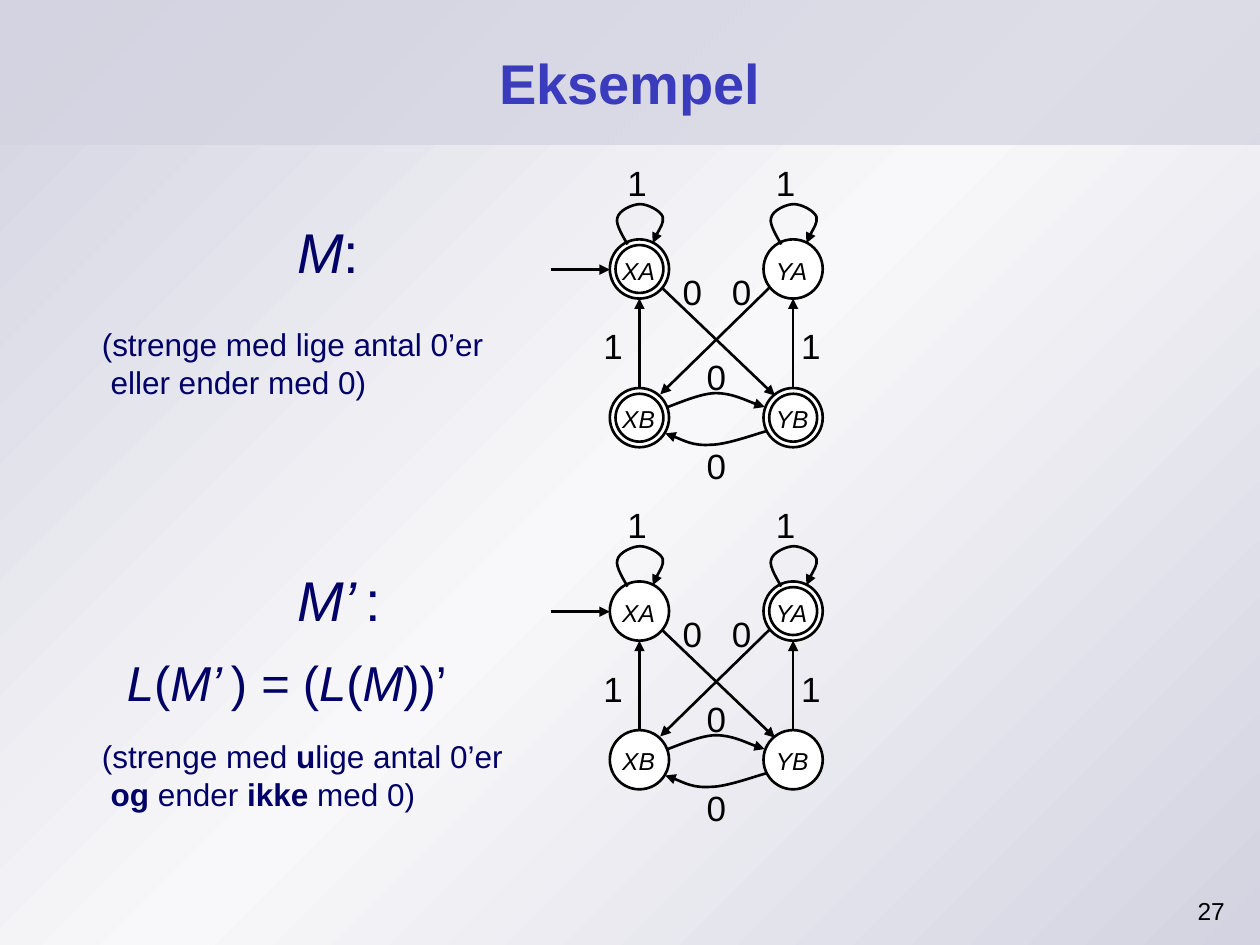
"""Builds the slide comparing the automaton M with its complement M’."""
from copy import deepcopy
from dataclasses import dataclass

from lxml.etree import SubElement
from pptx import Presentation
from pptx.dml.color import RGBColor
from pptx.enum.shapes import MSO_CONNECTOR, MSO_SHAPE
from pptx.enum.text import MSO_ANCHOR, MSO_AUTO_SIZE, PP_ALIGN
from pptx.oxml.ns import qn
from pptx.util import Inches, Pt

COLUMNS, ROWS = 100, 75
STATE, RING = 4.7, 3.8
STATE_GAP_X, STATE_GAP_Y = 12.2, 11.8
BLACK, NAVY, VIOLET, MIST, PALE, WHITE = "000000", "000066", "3B3BBE", "D3D3E1", "F8F8FA", "FFFFFF"


@dataclass(frozen=True)
class Span:
    text: str
    italic: bool = False
    bold: bool = False
    size: float = 0


@dataclass(frozen=True)
class Note:
    left: float
    top: float
    width: float
    height: float
    size: float
    spans: tuple[Span, ...]
    color: str = NAVY


@dataclass(frozen=True)
class Automaton:
    left: float
    top: float
    accepting: tuple[str, ...]


STATES = {
    "XA": (0, 0),
    "YA": (STATE_GAP_X, 0),
    "XB": (0, STATE_GAP_Y),
    "YB": (STATE_GAP_X, STATE_GAP_Y),
}
LOOP = ((1.4, 0.4), (1.2, 0), (0.4, -1.2), (0.6, -1.7), (0.7, -2.3), (1.8, -2.8), (2.4, -2.8),
        (3, -2.8), (4, -2.3), (4.2, -1.8), (4.3, -1.3), (3.5, -0.1), (3.4, 0.3))
CURVES = (
    LOOP,
    tuple((x + STATE_GAP_X, y) for x, y in LOOP),
    ((4.6, 13.3), (5.2, 13.1), (7.2, 12.2), (8.4, 12.2), (9.7, 12.2), (11.5, 13.1), (12.3, 13.3)),
    ((12.5, 15.2), (11.7, 15.4), (9.3, 16.3), (8, 16.3), (6.6, 16.4), (5.1, 15.6), (4.4, 15.4)),
)
STRAIGHTS = (
    ((-4.7, 2.4), (0, 2.4)),
    ((4.2, 3.9), (13.1, 12.4)),
    ((12.7, 3.8), (4, 12.3)),
    *(((x + STATE / 2, STATE_GAP_Y), (x + STATE / 2, STATE)) for x in (0, STATE_GAP_X)),
)
SYMBOLS = {
    "0": ((4.8, 2), (8.7, 2), (6.7, 8.7), (6.7, 15.8)),
    "1": ((0.4, -6.7), (12.2, -6.7), (-1.5, 6.3), (14.2, 6.3)),
}
AUTOMATA = (
    Automaton(48.4, 19, ("XA", "XB", "YB")),
    Automaton(48.4, 46.15, ("YA",)),
)
NOTES = (
    Note(22.6, 16.8, 7.4, 6.4, 32, (Span("M", italic=True), Span(":"))),
    Note(7.1, 25.3, 32.3, 7, 18, (
        Span("(strenge med lige antal 0’er"), Span("\n"), Span(" eller ender med 0)"))),
    Note(22.6, 44.4, 9, 6.4, 32, (
        Span("M’", italic=True), Span(" ", italic=True, size=20), Span(":"))),
    Note(7.1, 58, 33.8, 7, 18, (
        Span("(strenge med "), Span("u", bold=True), Span("lige antal 0’er"), Span("\n"),
        Span(" "), Span("og", bold=True), Span(" ender "), Span("ikke", bold=True),
        Span(" med 0)"))),
    Note(9.1, 51.3, 27.6, 5.7, 28, (
        Span("L", italic=True), Span("("), Span("M’", italic=True),
        Span(" ", italic=True, size=18), Span(")"), Span(" = ", italic=True), Span("("),
        Span("L", italic=True), Span("("), Span("M", italic=True), Span("))’"))),
)


def grid(*steps: float) -> list[int]:
    """Turns grid steps into slide lengths."""
    return [Inches(10 * step / COLUMNS) for step in steps]


def rgb(color: str) -> RGBColor:
    """Turns a hex string into a colour."""
    return RGBColor.from_string(color)


def style(font, size: float, color: str, bold: bool = False, italic: bool = False) -> None:
    """Formats a font."""
    font.name, font.size, font.bold, font.italic = "Arial", Pt(size), bold, italic
    font.color.rgb = rgb(color)


def stroke(figure, arrow: bool = False) -> None:
    """Gives a figure a black line, an optional arrowhead and no shadow."""
    figure.line.color.rgb = rgb(BLACK)
    figure.line.width = Pt(1.5)
    properties = figure.element.spPr
    if arrow:
        SubElement(properties.find(qn("a:ln")), qn("a:tailEnd"), type="triangle")
    SubElement(properties, qn("a:effectLst"))


def draw_note(shapes, note: Note):
    """Writes a run of spans in an unwrapped text box."""
    box = shapes.add_textbox(*grid(note.left, note.top, note.width, note.height))
    box.text_frame.word_wrap = False
    box.text_frame.auto_size = MSO_AUTO_SIZE.SHAPE_TO_FIT_TEXT
    line = box.text_frame.paragraphs[0]
    for span in note.spans:
        if span.text == "\n":
            line.add_line_break()
            continue
        run = line.add_run()
        run.text = span.text
        style(run.font, span.size or note.size, note.color, span.bold, span.italic)
    return box


def draw_circle(shapes, left: float, top: float, size: float) -> None:
    """Draws a white circle with a black line."""
    circle = shapes.add_shape(MSO_SHAPE.OVAL, *grid(left, top, size, size))
    circle.fill.solid()
    circle.fill.fore_color.rgb = rgb(WHITE)
    stroke(circle)


def draw_curve(shapes, points: list[list[int]]) -> None:
    """Draws an arrow along cubic curves, three points to each curve."""
    builder = shapes.build_freeform(*points[0])
    curve = builder.add_line_segments(points[1:], close=False).convert_to_shape()
    curve.fill.background()
    route = curve.element.find(".//" + qn("a:path"))
    segments = route.findall(qn("a:lnTo"))
    for first in range(0, len(segments), 3):
        bend = SubElement(route, qn("a:cubicBezTo"))
        for segment in segments[first:first + 3]:
            bend.append(segment[0])
            route.remove(segment)
    stroke(curve, arrow=True)


def draw_automaton(shapes, machine: Automaton) -> None:
    """Draws the states, transitions and symbols of an automaton."""
    def place(x: float, y: float) -> tuple[float, float]:
        """Moves a point to the automaton."""
        return machine.left + x, machine.top + y

    inset = (STATE - RING) / 2
    for name, (x, y) in STATES.items():
        draw_circle(shapes, *place(x, y), STATE)
        if name in machine.accepting:
            draw_circle(shapes, *place(x + inset, y + inset), RING)
        draw_note(shapes, Note(*place(x, y + 0.8), 4.6, 3.4, 14, (Span(name, italic=True),), BLACK))
    for start, end in STRAIGHTS:
        ends = grid(*place(*start), *place(*end))
        stroke(shapes.add_connector(MSO_CONNECTOR.STRAIGHT, *ends), arrow=True)
    for curve in CURVES:
        draw_curve(shapes, [grid(*place(*point)) for point in curve])
    for symbol, spots in SYMBOLS.items():
        for spot in spots:
            draw_note(shapes, Note(*place(*spot), 3.5, 4.4, 20, (Span(symbol),), BLACK))


def draw_backdrop(shapes) -> None:
    """Puts the gradient and the translucent title band behind the title."""
    for height in (ROWS, 11.5):
        panel = shapes.add_shape(MSO_SHAPE.RECTANGLE, *grid(0, 0, COLUMNS, height))
        panel.line.fill.background()
        panel.shadow.inherit = False
        shapes.title.element.addprevious(panel.element)
        if height == ROWS:
            panel.fill.gradient()
            panel.fill.gradient_angle = 135
            stops = panel.element.find(".//" + qn("a:gsLst"))
            stops.append(deepcopy(stops[0]))
            for stop, place, color in zip(panel.fill.gradient_stops, (0, 0.5, 1), (MIST, PALE, MIST)):
                stop.position, stop.color.rgb = place, rgb(color)
        else:
            panel.fill.solid()
            panel.fill.fore_color.rgb = rgb(MIST)
            SubElement(panel.element.find(".//" + qn("a:srgbClr")), qn("a:alpha"), val="72000")


def main() -> None:
    """Builds and saves the slide."""
    deck = Presentation()
    deck.slide_width, deck.slide_height = grid(COLUMNS, ROWS)
    slide = deck.slides.add_slide(deck.slide_layouts[5])
    shapes, title = slide.shapes, slide.shapes.title
    draw_backdrop(shapes)
    title.left, title.top, title.width, title.height = grid(5, 1.6, 90, 9.9)
    title.text_frame.text = "Eksempel"
    title.text_frame.vertical_anchor = MSO_ANCHOR.MIDDLE
    title.text_frame.paragraphs[0].alignment = PP_ALIGN.CENTER
    style(title.text_frame.paragraphs[0].runs[0].font, 32, VIOLET, bold=True)
    for machine in AUTOMATA:
        draw_automaton(shapes.add_group_shape().shapes, machine)
    for note in NOTES:
        draw_note(shapes, note)
    number = draw_note(shapes, Note(90.2, 70.6, 8, 3.9, 14, (Span("27"),), BLACK))
    number.text_frame.word_wrap = True
    number.text_frame.paragraphs[0].alignment = PP_ALIGN.RIGHT
    deck.save("out.pptx")


if __name__ == "__main__":
    main()
